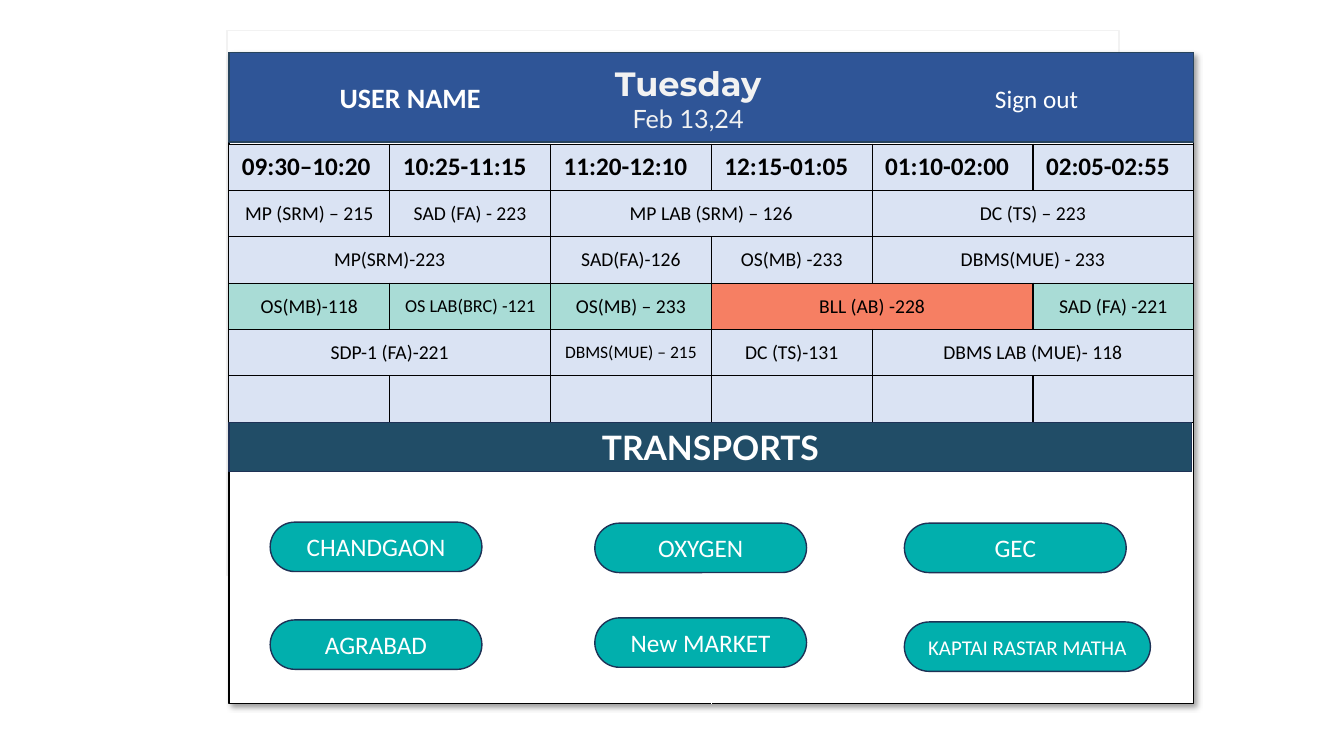
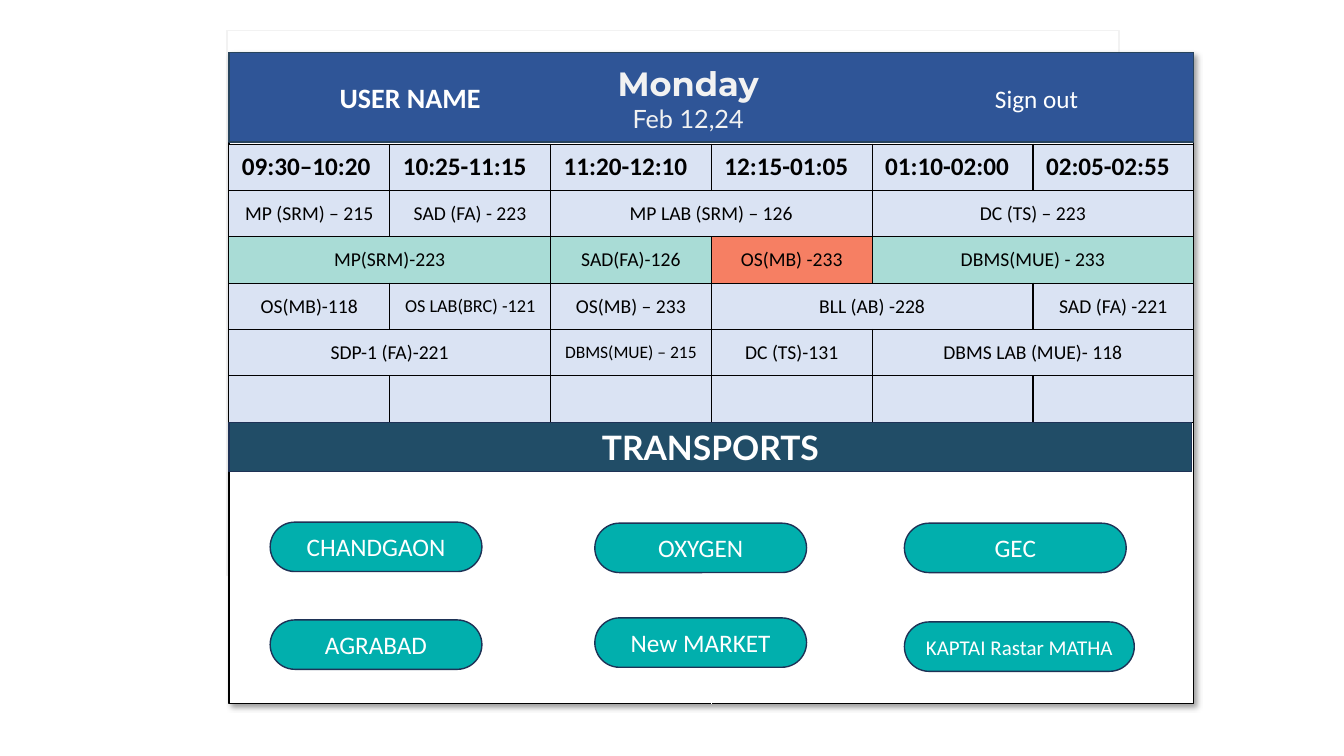
from lxml.etree import SubElement
from pptx import Presentation
from pptx.dml.color import RGBColor
from pptx.enum.shapes import MSO_CONNECTOR, MSO_SHAPE
from pptx.enum.text import MSO_ANCHOR, MSO_AUTO_SIZE, PP_ALIGN
from pptx.oxml.ns import qn
from pptx.util import Inches, Pt

COLORS = {
    "white": "FFFFFF", "black": "000000", "pale": "F2F2F2",
    "header": "2F5597", "header_line": "28445D",
    "cell": "DAE3F3", "today": "A9DCD6", "now": "F67F63",
    "band": "214D67", "outline": "1E3256", "button": "01AFAD",
}
DAYS = [
    {"day": "Tuesday", "date": "Feb 13,24", "today": 3, "now": "BLL (AB) -228",
     "last_stop": ("KAPTAI RASTAR MATHA", 2.44)},
    {"day": "Monday", "date": "Feb 12,24", "today": 2, "now": "OS(MB) -233",
     "last_stop": ("KAPTAI Rastar MATHA", 2.28)},
]
TIMES = ["09:30–10:20", "10:25-11:15", "11:20-12:10",
         "12:15-01:05", "01:10-02:00", "02:05-02:55"]
LESSONS = [
    [("MP (SRM) – 215", 1), ("SAD (FA) - 223", 1), ("MP LAB (SRM) – 126", 2), ("DC (TS) – 223", 2)],
    [("MP(SRM)-223", 2), ("SAD(FA)-126", 1), ("OS(MB) -233", 1), ("DBMS(MUE) - 233", 2)],
    [("OS(MB)-118", 1), ("OS LAB(BRC) -121", 1), ("OS(MB) – 233", 1), ("BLL (AB) -228", 2),
     ("SAD (FA) -221", 1)],
    [("SDP-1 (FA)-221", 2), ("DBMS(MUE) – 215", 1), ("DC (TS)-131", 1), ("DBMS LAB (MUE)- 118", 2)],
]
SCHEDULE = [[(time, 1) for time in TIMES], *LESSONS, [("", 1)] * len(TIMES)]
SMALL_LESSONS = {"OS LAB(BRC) -121": 13, "DBMS(MUE) – 215": 12.5}
STOPS = [
    ("CHANDGAON", 2.68, 5.18, 2.1), ("OXYGEN", 5.9, 5.19, 2.1), ("GEC", 8.97, 5.19, 2.2),
    ("AGRABAD", 2.68, 6.15, 2.1), ("New MARKET", 5.9, 6.13, 2.1),
]
LAST_STOP_AT = (8.97, 6.17)

LEFT, TOP, WIDTH, HEIGHT = 2.27, 0.52, 9.57, 6.46
HEADER_HEIGHT, BAR_HEIGHT = 0.89, 0.49
TABLE_TOP, ROW_HEIGHT = 1.43, 0.46
HEADER_TABS = (1, 7.5)


def color(name):
    return RGBColor.from_string(COLORS[name])


def write(para, text, size=18, font="Calibri", ink="white", bold=False, align=PP_ALIGN.CENTER):
    para.alignment = align
    span = para.add_run()
    span.text = text
    span.font.size = Pt(size)
    span.font.name = font
    span.font.bold = bold
    span.font.color.rgb = color(ink)


def add_box(page, left, top, width, height, fill, line, kind=MSO_SHAPE.RECTANGLE):
    box = page.shapes.add_shape(kind, Inches(left), Inches(top), Inches(width), Inches(height))
    box.shadow.inherit = False
    box.fill.solid()
    box.fill.fore_color.rgb = color(fill)
    box.line.color.rgb = color(line)
    box.line.width = Pt(1)
    box.text_frame.word_wrap = True
    box.text_frame.vertical_anchor = MSO_ANCHOR.MIDDLE
    return box


def add_panel(page):
    add_box(page, 2.25, 0.3, 8.85, 5.41, "white", "pale")
    panel = add_box(page, LEFT, TOP, WIDTH, HEIGHT, "white", "black")
    effects = panel.element.spPr.find(qn("a:effectLst"))
    shadow = SubElement(effects, qn("a:outerShdw"), blurRad=str(Pt(4)), dist=str(Pt(3)),
                        dir="2700000", algn="tl", rotWithShape="0")
    tint = SubElement(shadow, qn("a:srgbClr"), val=COLORS["black"])
    SubElement(tint, qn("a:alpha"), val="40000")
    middle = LEFT + WIDTH / 2
    divider = page.shapes.add_connector(MSO_CONNECTOR.STRAIGHT, Inches(middle), Inches(TOP),
                                        Inches(middle), Inches(TOP + HEIGHT))
    divider.line.color.rgb = color("white")
    divider.line.width = Pt(0.5)
    SubElement(divider.element.spPr, qn("a:effectLst"))


def add_header(page, day):
    header = add_box(page, LEFT, TOP, WIDTH, HEADER_HEIGHT, "header", "header_line")
    para = header.text_frame.paragraphs[0]
    write(para, "\tUSER NAME", size=20, bold=True, align=PP_ALIGN.LEFT)
    write(para, "\tSign out", align=PP_ALIGN.LEFT)
    tabs = SubElement(para._p.get_or_add_pPr(), qn("a:tabLst"))
    for stop in HEADER_TABS:
        SubElement(tabs, qn("a:tab"), pos=str(Inches(stop)), algn="l")

    title = page.shapes.title
    title.element.getparent().append(title.element)
    title.left, title.top = Inches(5.54), Inches(0.53)
    title.width, title.height = Inches(2.57), Inches(HEADER_HEIGHT)
    frame = title.text_frame
    frame.word_wrap = True
    frame.auto_size = MSO_AUTO_SIZE.NONE
    frame.vertical_anchor = MSO_ANCHOR.MIDDLE
    write(frame.paragraphs[0], day["day"], size=24, font="Montserrat", ink="pale", bold=True)
    write(frame.add_paragraph(), day["date"], font="Lato", ink="pale")
    for para in frame.paragraphs:
        para.line_spacing = 1
        para.space_before = Pt(0)


def style_cell(cell, fill):
    cell.margin_left = cell.margin_right = Inches(0.13)
    cell.margin_top = cell.margin_bottom = Inches(0.06)
    cell.vertical_anchor = MSO_ANCHOR.MIDDLE
    properties = cell._tc.get_or_add_tcPr()
    for side in ("lnL", "lnR", "lnT", "lnB"):
        border = SubElement(properties, qn("a:" + side), w=str(Pt(1)))
        SubElement(SubElement(border, qn("a:solidFill")), qn("a:srgbClr"), val=COLORS["black"])
    cell.fill.solid()
    cell.fill.fore_color.rgb = color(fill)


def add_schedule(page, day):
    table = page.shapes.add_table(len(SCHEDULE), len(TIMES), Inches(LEFT), Inches(TABLE_TOP),
                                  Inches(WIDTH), Inches(ROW_HEIGHT * len(SCHEDULE))).table
    table.first_row = table.horz_banding = False
    for row, entries in enumerate(SCHEDULE):
        column = 0
        for text, width in entries:
            fill = "cell"
            if row == day["today"]:
                fill = "now" if text == day["now"] else "today"
            for offset in range(width):
                style_cell(table.cell(row, column + offset), fill)
            cell = table.cell(row, column)
            if width > 1:
                cell.merge(table.cell(row, column + width - 1))
            para = cell.text_frame.paragraphs[0]
            if row == 0:
                write(para, text, ink="black", bold=True, align=PP_ALIGN.LEFT)
            elif text:
                write(para, text, size=SMALL_LESSONS.get(text, 14), ink="black")
            column += width


def add_stop(page, text, left, top, width, size=18):
    button = add_box(page, left, top, width, BAR_HEIGHT, "button", "outline",
                     MSO_SHAPE.ROUNDED_RECTANGLE)
    button.adjustments[0] = 0.5
    write(button.text_frame.paragraphs[0], text, size=size)


def add_transports(page, day):
    band = add_box(page, LEFT, 4.19, 9.55, BAR_HEIGHT, "band", "outline")
    write(band.text_frame.paragraphs[0], "TRANSPORTS", size=24, font="Lato", bold=True)
    for stop in STOPS:
        add_stop(page, *stop)
    name, width = day["last_stop"]
    add_stop(page, name, *LAST_STOP_AT, width, size=15)


deck = Presentation()
deck.slide_width, deck.slide_height = Inches(13.33), Inches(7.5)
for day in DAYS:
    page = deck.slides.add_slide(deck.slide_layouts[5])
    add_panel(page)
    add_header(page, day)
    add_schedule(page, day)
    add_transports(page, day)
deck.save("out.pptx")
